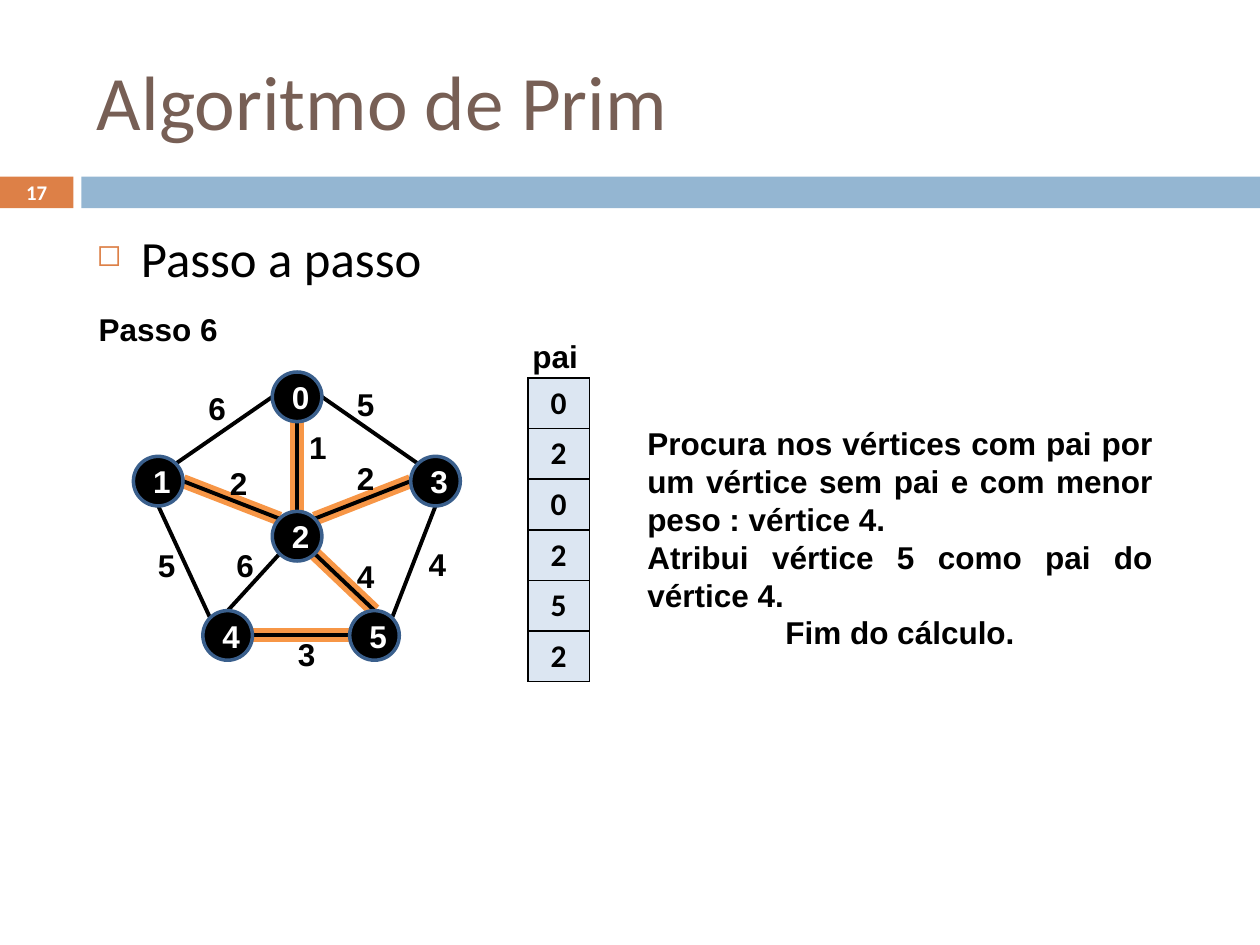
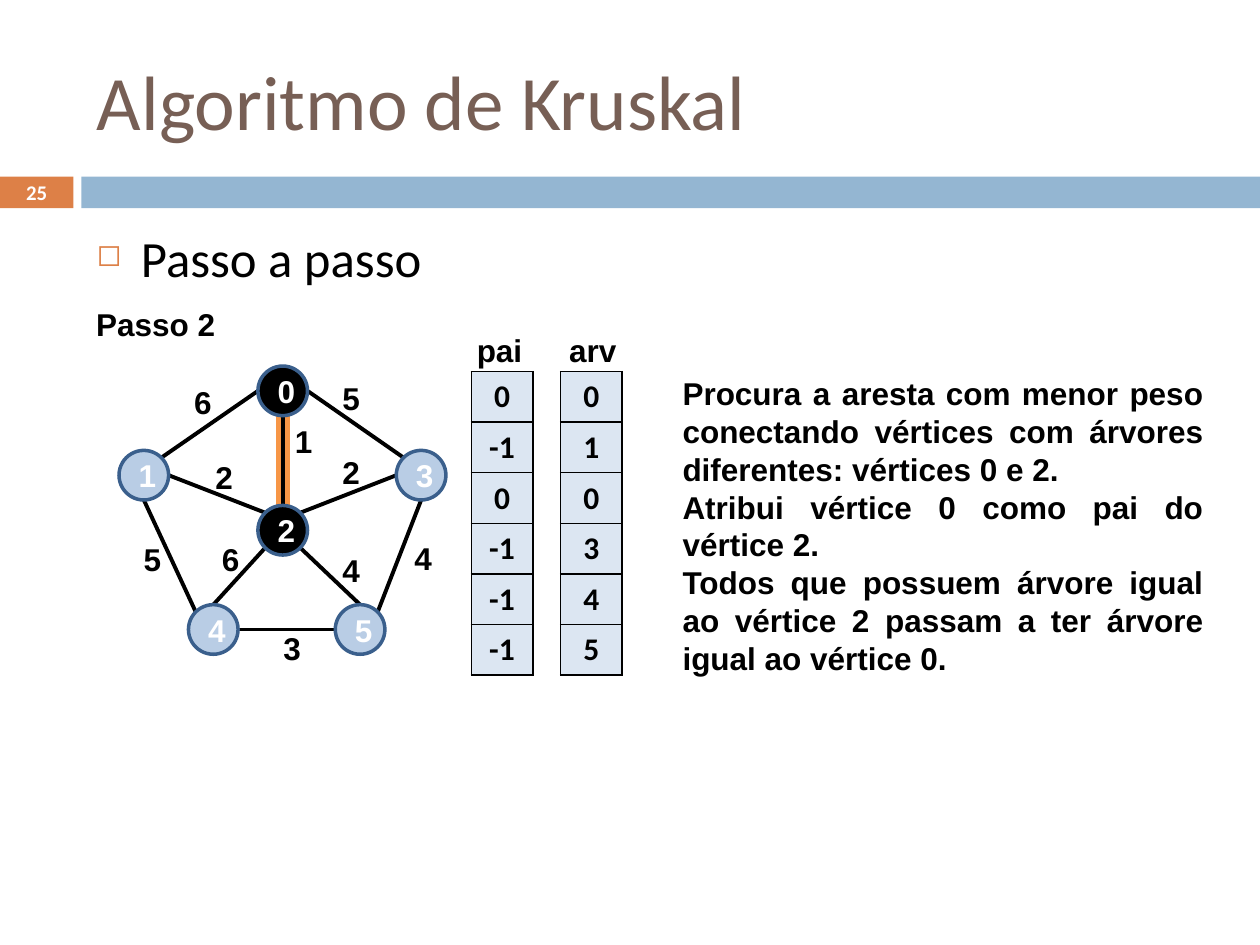
from dataclasses import dataclass
from math import cos, radians, sin

from lxml import etree
from pptx import Presentation
from pptx import util as u
from pptx.dml.color import RGBColor
from pptx.enum import shapes, text
from pptx.oxml.ns import qn


@dataclass(frozen=True)
class Theme:
    # Colours
    title: str = "775F55"
    accent: str = "DD8047"
    band: str = "94B6D2"
    mark: str = "F79646"
    ring: str = "3A5F8C"
    idle: str = "B9CDE5"
    cell: str = "DCE6F2"
    ink: str = "000000"
    paper: str = "FFFFFF"
    # Fonts and sizes in points
    head: str = "Calibri"
    body: str = "Arial"
    big: float = 44
    lead: float = 29
    base: float = 18
    small: float = 11.9
    line: float = 21.6


T = Theme()
LEFT, MID, JUST = text.PP_ALIGN.LEFT, text.PP_ALIGN.CENTER, text.PP_ALIGN.JUSTIFY

# Graph geometry in cm, measured from the centre of vertex 0
DIAM = 1.0
NODES = [(0, 0), (-2.8, 1.7), (0, 2.81), (2.79, 1.7), (-1.4, 4.81), (1.56, 4.81)]
TURN = {side: 45 * i for i, side in enumerate(["E", "SE", "S", "SW", "W", "NW", "N", "NE"])}
# (vertex, side), (vertex, side), weight, place of the weight
EDGES = [
    ((0, "E"), (3, "NW"), 5, (1.38, 0.15)),
    ((1, "NE"), (0, "W"), 6, (-1.61, 0.23)),
    ((5, "NE"), (3, "S"), 4, (2.83, 3.38)),
    ((2, "SE"), (5, "N"), 4, (1.38, 3.61)),
    ((4, "NW"), (1, "S"), 5, (-2.63, 3.4)),
    ((5, "W"), (4, "E"), 3, (0.19, 5.18)),
    ((3, "W"), (2, "NE"), 2, (1.38, 1.63)),
    ((1, "E"), (2, "NW"), 2, (-1.18, 1.73)),
    ((2, "SW"), (4, "N"), 6, (-1.05, 3.4)),
    ((0, "S"), (2, "N"), 1, (0.42, 1.02)),
]


def rgb(code):
    return RGBColor.from_string(code)


def style(par, size=T.base, font=T.body, color=T.ink, bold=True, align=MID):
    par.alignment = align
    if font == T.body:
        par.line_spacing = u.Pt(T.line)
    for run in par.runs:
        run.font.size = u.Pt(size)
        run.font.name = font
        run.font.bold = bold
        run.font.color.rgb = rgb(color)


def place(shape, x, y, w, h):
    shape.left, shape.top, shape.width, shape.height = map(u.Cm, (x, y, w, h))


def add_text(slide, x, y, w, h, words, **look):
    frame = slide.shapes.add_textbox(*map(u.Cm, (x, y, w, h))).text_frame
    frame.word_wrap = True
    frame.text = words
    for par in frame.paragraphs:
        style(par, **look)
    return frame


def add_label(slide, x, y, words):
    """Put one line of bold text with its centre at x, y."""
    add_text(slide, x - 1.69, y - 0.51, 3.38, 1.02, words)


def add_form(slide, kind, x, y, w, h, fill, ring=None):
    form = slide.shapes.add_shape(kind, *map(u.Cm, (x, y, w, h)))
    form.shadow.inherit = False
    form.fill.solid()
    form.fill.fore_color.rgb = rgb(fill)
    if ring:
        form.line.color.rgb = rgb(ring)
        form.line.width = u.Pt(2)
    else:
        form.line.fill.background()
    return form


def add_line(slide, start, end, color, width):
    line = slide.shapes.add_connector(
        shapes.MSO_CONNECTOR.STRAIGHT, *map(u.Cm, (*start, *end)))
    line.line.color.rgb = rgb(color)
    line.line.width = u.Pt(width)
    etree.SubElement(line._element.spPr, qn("a:effectLst"))


def add_bullet(par):
    props = par._p.get_or_add_pPr()
    props.set("marL", str(u.Cm(0.89)))
    props.set("indent", str(-u.Cm(0.89)))
    color = etree.SubElement(props, qn("a:buClr"))
    etree.SubElement(color, qn("a:srgbClr"), val=T.accent)
    etree.SubElement(props, qn("a:buSzPct"), val="60000")
    etree.SubElement(props, qn("a:buChar"), char="◻")


def add_page(deck, title, number):
    """Start a slide with the title, the bands and the lead line."""
    slide = deck.slides.add_slide(deck.slide_layouts[5])
    rect = shapes.MSO_SHAPE.RECTANGLE
    tab = add_form(slide, rect, 0, 3.56, 1.48, 0.64, T.accent)
    add_form(slide, rect, 1.64, 3.56, 23.76, 0.64, T.band)
    frame = tab.text_frame
    frame.margin_top = frame.margin_bottom = 0
    frame.vertical_anchor = text.MSO_ANCHOR.MIDDLE
    frame.text = str(number)
    style(frame.paragraphs[0], T.small, T.head, T.paper)

    head = slide.shapes.title
    place(head, 1.7, 0.64, 22.66, 2.74)
    head.text_frame.text = title
    head.text_frame.vertical_anchor = text.MSO_ANCHOR.MIDDLE
    style(head.text_frame.paragraphs[0], T.big, T.head, T.title, False, LEFT)

    lead = add_text(slide, 1.7, 4.45, 22.66, 1.5, "Passo a passo",
                    size=T.lead, font=T.head, bold=False, align=LEFT)
    add_bullet(lead.paragraphs[0])
    return slide


def add_graph(slide, x, y, done, tree):
    """Draw the graph; done holds black vertices, tree the marked edges."""
    def site(vertex, side):
        (dx, dy), turn = NODES[vertex], radians(TURN[side])
        return x + dx + DIAM / 2 * cos(turn), y + dy + DIAM / 2 * sin(turn)

    # Marked edges lie under the plain ones
    for start, end, *_ in EDGES:
        if {start[0], end[0]} in tree:
            add_line(slide, site(*start), site(*end), T.mark, 8)
    for start, end, *_ in EDGES:
        add_line(slide, site(*start), site(*end), T.ink, 2.25)

    # Vertices
    for i, (dx, dy) in enumerate(NODES):
        node = add_form(slide, shapes.MSO_SHAPE.OVAL, x + dx - DIAM / 2, y + dy - DIAM / 2,
                        DIAM, DIAM, T.ink if i in done else T.idle, T.ring)
        node.text_frame.text = str(i)
        node.text_frame.vertical_anchor = text.MSO_ANCHOR.MIDDLE
        style(node.text_frame.paragraphs[0], color=T.paper)

    # Weights
    for *_, weight, (dx, dy) in EDGES:
        add_label(slide, x + dx, y + dy, str(weight))


def add_border(cell):
    props = cell._tc.get_or_add_tcPr()
    for i, side in enumerate(("lnL", "lnR", "lnT", "lnB")):
        edge = etree.Element(qn("a:" + side), w=str(u.Pt(1)))
        fill = etree.SubElement(edge, qn("a:solidFill"))
        etree.SubElement(fill, qn("a:srgbClr"), val=T.ink)
        props.insert(i, edge)


def add_array(slide, x, y, name, mid, values):
    """Draw a one-column table; its name is centred at mid."""
    add_label(slide, mid, y - 0.44, name)
    grid = slide.shapes.add_table(
        len(values), 1, *map(u.Cm, (x, y, 1.24, 1.02 * len(values)))).table
    grid.first_row = grid.horz_banding = False
    for row, value in enumerate(values):
        cell = grid.cell(row, 0)
        cell.text = str(value)
        cell.fill.solid()
        cell.fill.fore_color.rgb = rgb(T.cell)
        style(cell.text_frame.paragraphs[0], font=T.head)
        add_border(cell)


def main():
    deck = Presentation()
    deck.slide_width, deck.slide_height = u.Cm(25.4), u.Cm(19.05)

    # Prim, step 6
    prim = add_page(deck, "Algoritmo de Prim", 17)
    add_label(prim, 3.19, 6.63, "Passo 6")
    add_graph(prim, 5.99, 8, range(6), [{4, 5}, {2, 5}, {2, 3}, {0, 2}, {1, 2}])
    add_array(prim, 10.64, 7.62, "pai", 11.19, [0, 2, 0, 2, 5, 2])
    note = add_text(
        prim, 12.8, 8.43, 10.69, 4.88,
        "Procura nos vértices com pai por um vértice sem pai e com menor peso : vértice 4.\n"
        "Atribui vértice 5 como pai do vértice 4.\n"
        "Fim do cálculo.", align=JUST)
    note.paragraphs[-1].alignment = MID

    # Kruskal, step 2
    krus = add_page(deck, "Algoritmo de Kruskal", 25)
    add_label(krus, 3.14, 6.53, "Passo 2")
    add_graph(krus, 5.7, 7.88, {0, 2}, [{0, 2}])
    add_array(krus, 9.5, 7.49, "pai", 10.07, [0, -1, 0, -1, -1, -1])
    add_array(krus, 11.3, 7.49, "arv", 11.95, [0, 1, 0, 3, 4, 5])
    add_text(
        krus, 13.51, 7.42, 11, 6.4,
        "Procura a aresta com menor peso conectando vértices com árvores diferentes: "
        "vértices 0 e 2.\n"
        "Atribui vértice 0 como pai do vértice 2.\n"
        "Todos que possuem árvore igual ao vértice 2 passam a ter árvore igual ao vértice 0.",
        align=JUST)

    deck.save("out.pptx")


if __name__ == "__main__":
    main()
